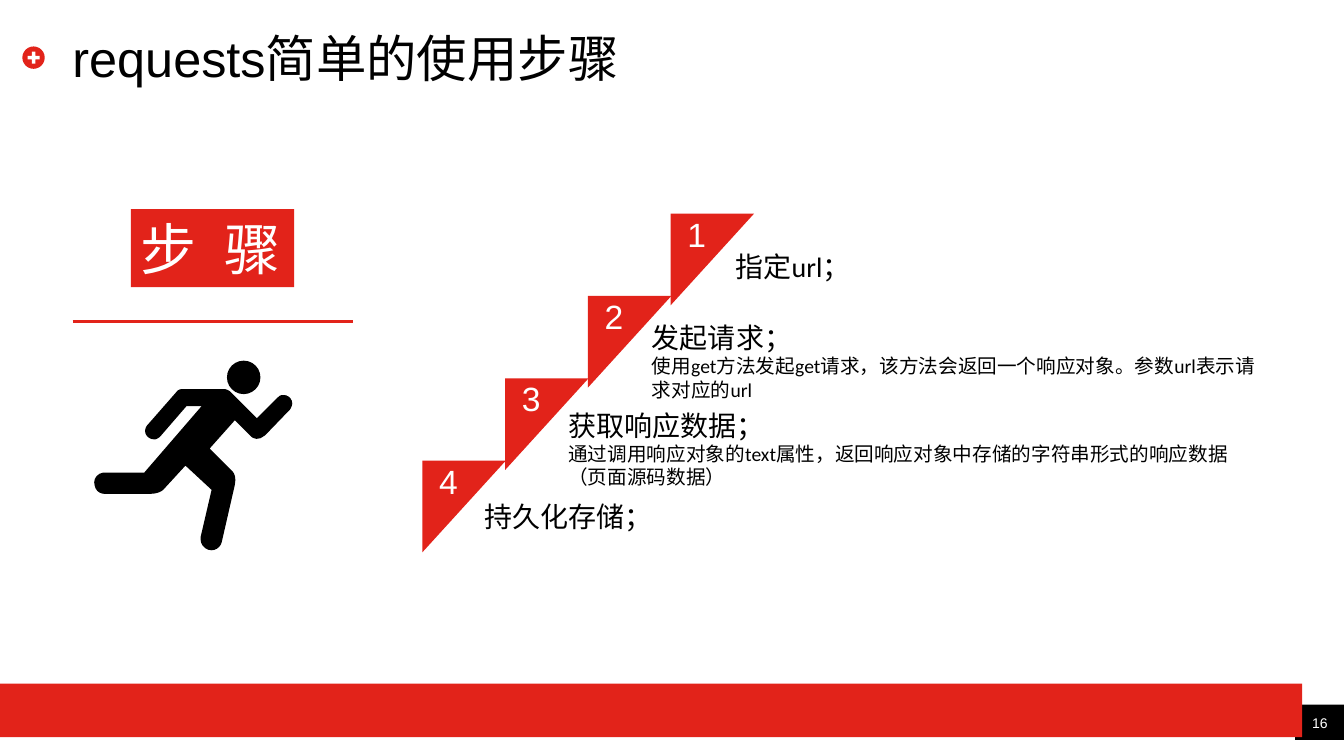
import pptx
import pptx.dml.color
import pptx.enum.shapes
import pptx.enum.text
import pptx.util
from lxml import etree

Pt = pptx.util.Pt
SHAPE = pptx.enum.shapes.MSO_SHAPE
ANCHOR = pptx.enum.text.MSO_ANCHOR
ALIGN = pptx.enum.text.PP_ALIGN
RGB = pptx.dml.color.RGBColor.from_string

theme = {
    "red": RGB("E2231A"), "black": RGB("000000"), "white": RGB("FFFFFF"),
    "heading_font": "Arial", "body_font": "Calibri",
    "title": 36, "label": 40, "number": 24, "step": 20, "detail": 14, "page": 10,
}


def paint(shape, color):
    shape.shadow.inherit = False
    shape.fill.solid()
    shape.fill.fore_color.rgb = color
    shape.line.fill.background()
    return shape


def write(shape, lines, sizes, font, color, align=ALIGN.LEFT, anchor=ANCHOR.MIDDLE, margins=(7.2, 3.6, 7.2, 3.6)):
    frame = shape.text_frame
    frame.word_wrap = True
    frame.vertical_anchor = anchor
    frame.margin_left, frame.margin_top, frame.margin_right, frame.margin_bottom = map(Pt, margins)
    frame.text = "\n".join(lines)
    for paragraph, size in zip(frame.paragraphs, sizes):
        paragraph.alignment = align
        paragraph.font.size = Pt(size)
        paragraph.font.name = font
        paragraph.font.color.rgb = color


presentation = pptx.Presentation()
presentation.slide_width, presentation.slide_height = Pt(960), Pt(540)
slide = presentation.slides.add_slide(presentation.slide_layouts[6])
shapes = slide.shapes

blocks = [
    (SHAPE.RECTANGLE, 925.2, 503.3, 34.8, 25.2, "black"),
    (SHAPE.OVAL, 16, 33.2, 16, 16, "red"),
    (SHAPE.CROSS, 19.7, 36.9, 8.6, 8.6, "white"),
    (SHAPE.OVAL, 162.1, 257.6, 23.9, 23.9, "black"),
    (SHAPE.RECTANGLE, 0, 488.3, 930.2, 38.2, "red"),
]
for kind, left, top, width, height, color in blocks:
    block = paint(shapes.add_shape(kind, Pt(left), Pt(top), Pt(width), Pt(height)), theme[color])
    if kind == SHAPE.CROSS:
        block.adjustments[0] = 0.35

page_number = shapes.add_textbox(Pt(925.2), Pt(503.3), Pt(35.2), Pt(19.4))
write(page_number, ["16"], [theme["page"]], theme["heading_font"], theme["white"],
      ALIGN.CENTER, ANCHOR.BOTTOM, (0, 0, 0, 0))

title = shapes.add_textbox(Pt(51.8), Pt(20.2), Pt(872), Pt(41))
write(title, ["requests简单的使用步骤"], [theme["title"]], theme["heading_font"], theme["black"],
      margins=(0, 0, 0, 0))

label = paint(shapes.add_shape(SHAPE.RECTANGLE, Pt(93.4), Pt(149.4), Pt(116.7), Pt(55.7)), theme["red"])
write(label, ["步 骤"], [theme["label"]], theme["heading_font"], theme["white"],
      anchor=ANCHOR.TOP, margins=(7.2, 3.6, 0, 3.6))
label.text_frame.paragraphs[0].runs[0].font._element.set("spc", "550")

divider = shapes.add_connector(pptx.enum.shapes.MSO_CONNECTOR.STRAIGHT, Pt(51.8), Pt(229.7), Pt(252), Pt(229.7))
divider.line.color.rgb = theme["red"]
divider.line.width = Pt(2.25)
etree.SubElement(divider._element.spPr, pptx.oxml.ns.qn("a:effectLst"))

steps = [
    (["指定url；"], 166.3, 247, 47.5),
    (["发起请求；", "使用get方法发起get请求，该方法会返回一个响应对象。参数url表示请求对应的url"], 225.4, 455.8, 64.8),
    (["获取响应数据；", "通过调用响应对象的text属性，返回响应对象中存储的字符串形式的响应数据（页面源码数据）"], 296.6, 512.6, 47.5),
    (["持久化存储；"], 344.9, 241.9, 47.5),
]
for index, (lines, text_top, text_width, text_height) in enumerate(steps):
    left, top = 479 - 59.1 * index, 152.6 + 58.8 * index
    builder = shapes.build_freeform(Pt(left), Pt(top))
    builder.add_line_segments([(Pt(left + 59.6), Pt(top)), (Pt(left), Pt(top + 65.5))])
    stair = paint(builder.convert_to_shape(), theme["red"])
    write(stair, [str(index + 1)], [theme["number"]], theme["heading_font"], theme["white"],
          ALIGN.CENTER, margins=(0, 0, 22.3, 36.7))
    description = shapes.add_textbox(Pt(518.4 - 59.8 * index), Pt(text_top), Pt(text_width), Pt(text_height))
    write(description, lines, [theme["step"], theme["detail"]], theme["body_font"], theme["black"])

runner_outline = [
    (130.3, 277.9), (159.8, 277.9), (161.3, 277.9, 163.4, 278.6, 164.9, 280.1),
    (183.6, 298.8), (198.7, 283.7), (200.2, 282.2, 200.9, 282.2, 203, 282.2),
    (205.9, 282.2, 208.8, 285.1, 208.8, 288), (208.8, 289.4, 208.1, 290.9, 207.4, 292.3),
    (189.4, 311), (183.6, 316.1, 179.3, 311.8, 179.3, 311.8), (167.8, 300.2),
    (149.8, 320.4), (166.3, 337), (166.3, 337, 169.2, 339.8, 167.8, 346.3),
    (158.4, 387.4), (157.7, 390.2, 154.8, 393.1, 151.2, 393.1),
    (146.9, 393.1, 143.3, 389.5, 143.3, 385.2), (143.3, 383.8), (151.2, 349.9),
    (132.5, 332.6), (116.6, 349.9), (116.6, 349.9, 113.8, 352.8, 107.3, 352.8),
    (74.9, 352.8), (71.3, 352.8, 68.4, 350.6, 67.7, 347),
    (66.2, 342.7, 69.1, 338.4, 73.4, 337.7), (74.9, 337.7), (103, 337.7),
    (144, 290.2), (133.2, 290.2), (114.5, 311.8), (113, 313.2, 111.6, 313.9, 110.2, 313.9),
    (106.6, 313.9, 103.7, 311, 103.7, 308.2), (103.7, 306, 104.4, 304.6, 105.8, 303.1),
    (126, 280.1), (126.7, 278.6, 128.9, 277.9, 130.3, 277.9),
]
points = [runner_outline[0]]
for segment in runner_outline[1:]:
    if len(segment) == 2:
        points.append(segment)
        continue
    start = points[-1]
    for t in (0.2, 0.4, 0.6, 0.8, 1):
        points.append(tuple(
            (1 - t) ** 3 * start[axis] + 3 * t * (1 - t) ** 2 * segment[axis]
            + 3 * t ** 2 * (1 - t) * segment[axis + 2] + t ** 3 * segment[axis + 4]
            for axis in (0, 1)))
points = [(Pt(x), Pt(y)) for x, y in points]
runner = shapes.build_freeform(*points[0])
runner.add_line_segments(points[1:])
paint(runner.convert_to_shape(), theme["black"])

presentation.save("out.pptx")
